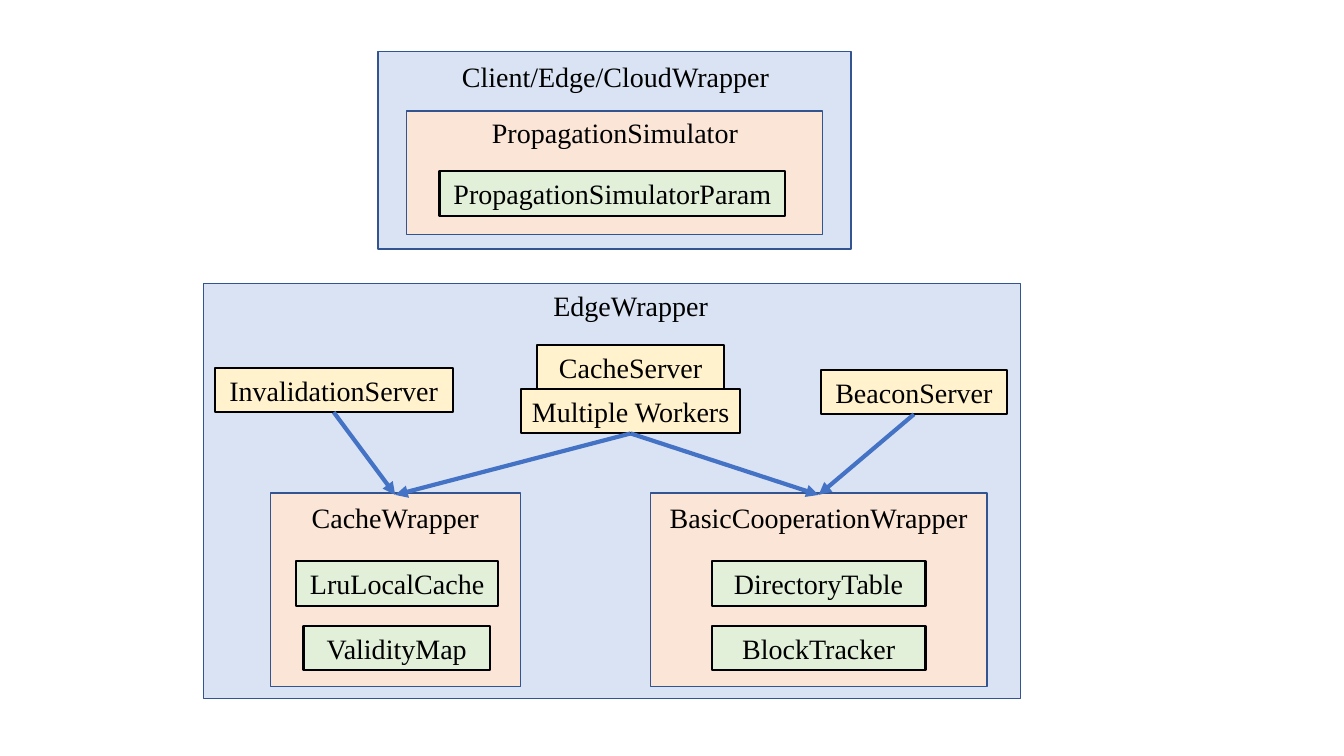
"""Build a slide of the wrapper components and the servers that use them."""
from lxml import etree
from pptx import Presentation
from pptx.dml.color import RGBColor
from pptx.enum import shapes, text
from pptx.oxml import ns
from pptx.util import Inches, Pt

COLORS = {
    "wrapper": "DAE3F3",
    "component": "FBE5D6",
    "member": "E2F0D9",
    "server": "FFF2CC",
    "panel_line": "325491",
    "box_line": "000000",
    "text": "000000",
    "arrow": "4472C4",
}
BOX_HEIGHT = 0.44

presentation = Presentation()
presentation.slide_width = Inches(13.33)
presentation.slide_height = Inches(7.5)
slide = presentation.slides.add_slide(presentation.slide_layouts[6])


def add_rectangle(left, top, width, height, fill, line, line_width):
    shape = slide.shapes.add_shape(
        shapes.MSO_SHAPE.RECTANGLE, Inches(left), Inches(top), Inches(width), Inches(height))
    shape.shadow.inherit = False
    shape.fill.solid()
    shape.fill.fore_color.rgb = RGBColor.from_string(COLORS[fill])
    shape.line.color.rgb = RGBColor.from_string(COLORS[line])
    shape.line.width = Pt(line_width)
    return shape


def write_label(shape, label):
    frame = shape.text_frame
    frame.text = label
    frame.word_wrap = False
    frame.vertical_anchor = text.MSO_ANCHOR.MIDDLE
    paragraph = frame.paragraphs[0]
    paragraph.alignment = text.PP_ALIGN.CENTER
    font = paragraph.runs[0].font
    font.name = "Times New Roman"
    font.size = Pt(20)
    font.color.rgb = RGBColor.from_string(COLORS["text"])


panels = [
    ("EdgeWrapper", "wrapper", (2.02, 2.81, 8.1, 4.12), (5.33, 2.81, 1.85)),
    ("CacheWrapper", "component", (2.68, 4.89, 2.48, 1.92), (2.68, 4.91, 2.48)),
    ("BasicCooperationWrapper", "component", (6.45, 4.89, 3.34, 1.92), (6.45, 4.91, 3.34)),
    ("Client/Edge/CloudWrapper", "wrapper", (3.75, 0.51, 4.69, 1.96), (4.48, 0.54, 3.25)),
    ("PropagationSimulator", "component", (4.03, 1.1, 4.13, 1.23), (4.77, 1.09, 2.66)),
]
boxes = [
    ("BeaconServer", "server", 8.14, 3.67, 1.85),
    ("CacheServer", "server", 5.33, 3.42, 1.85),
    ("Multiple Workers", "server", 5.17, 3.86, 2.17),
    ("InvalidationServer", "server", 2.13, 3.65, 2.36),
    ("LruLocalCache", "member", 2.94, 5.57, 2),
    ("ValidityMap", "member", 3.01, 6.21, 1.85),
    ("DirectoryTable", "member", 7.06, 5.57, 2.12),
    ("BlockTracker", "member", 7.06, 6.21, 2.12),
    ("PropagationSimulatorParam", "member", 4.36, 1.7, 3.43),
]
arrows = [
    ("InvalidationServer", "CacheWrapper"),
    ("Multiple Workers", "CacheWrapper"),
    ("Multiple Workers", "BasicCooperationWrapper"),
    ("BeaconServer", "BasicCooperationWrapper"),
]

labelled = {}
for label, fill, bounds, (left, top, width) in panels:
    add_rectangle(*bounds, fill, "panel_line", 1)
    title = slide.shapes.add_textbox(Inches(left), Inches(top), Inches(width), Inches(BOX_HEIGHT))
    write_label(title, label)
    labelled[label] = title

for label, fill, left, top, width in boxes:
    box = add_rectangle(left, top, width, BOX_HEIGHT, fill, "box_line", 1.5)
    write_label(box, label)
    labelled[label] = box

for source, target in arrows:
    arrow = slide.shapes.add_connector(shapes.MSO_CONNECTOR.STRAIGHT, 0, 0, 0, 0)
    arrow.begin_connect(labelled[source], 2)
    arrow.end_connect(labelled[target], 0)
    arrow.line.color.rgb = RGBColor.from_string(COLORS["arrow"])
    arrow.line.width = Pt(3)
    etree.SubElement(arrow.line._get_or_add_ln(), ns.qn("a:tailEnd"), type="triangle")
    etree.SubElement(arrow._element.spPr, ns.qn("a:effectLst"))

presentation.save("out.pptx")
